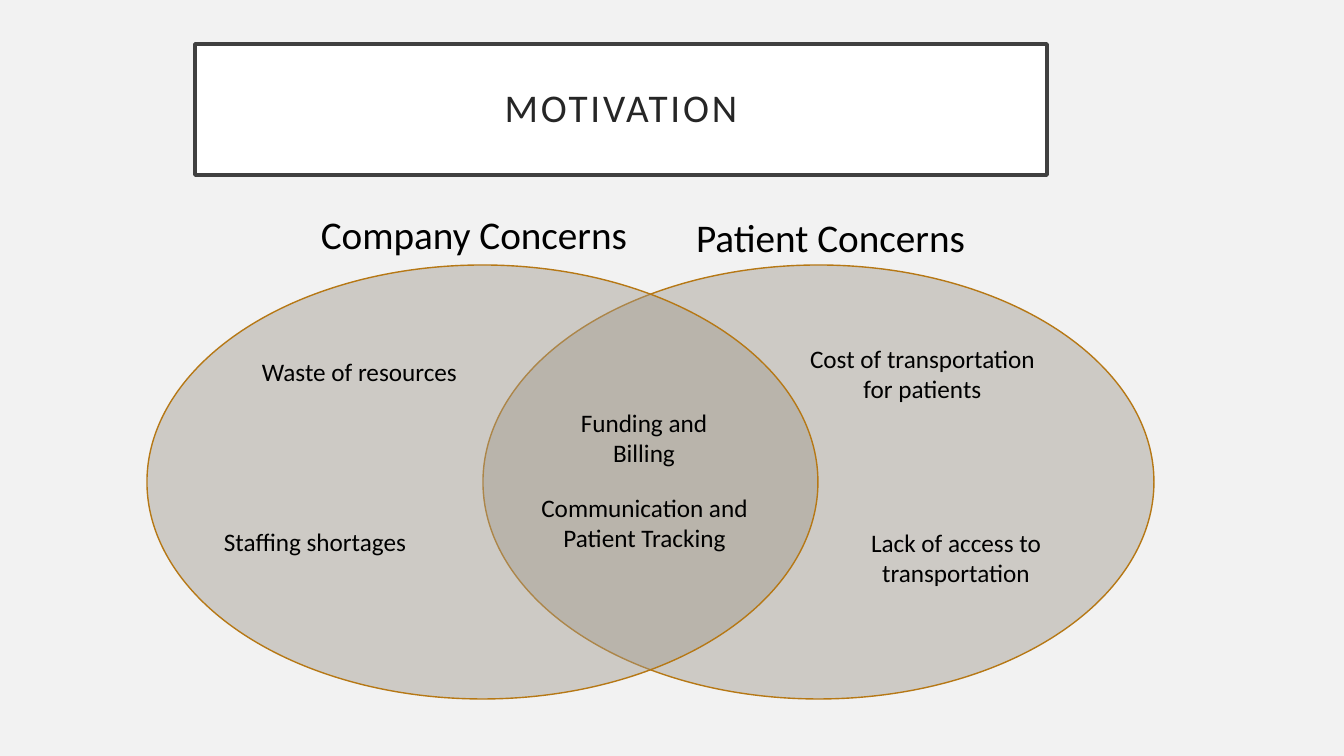
import pptx
import pptx.dml.color
import pptx.enum.shapes
import pptx.enum.text
import pptx.oxml.ns
import pptx.util
from dataclasses import dataclass
from lxml import etree

TITLE = "MOTIVATION"
TITLE_BOX = (195, 44, 852, 131)
OVALS = [(483, 265, 671, 434), (147, 265, 671, 434)]
CENTER = pptx.enum.text.PP_ALIGN.CENTER
LEFT = pptx.enum.text.PP_ALIGN.LEFT
CONCERNS = [
    ("Funding and Billing", (544, 402, 200, 72), CENTER),
    ("Communication and Patient Tracking", (514, 487, 261, 72), CENTER),
    ("Waste of resources", (252, 351, 227, 72), LEFT),
    ("Staffing shortages", (214, 521, 261, 72), LEFT),
    ("Cost of transportation for patients", (788, 338, 269, 72), CENTER),
    ("Lack of access to transportation", (827, 522, 258, 72), CENTER),
]
HEADINGS = [
    ("Company Concerns", (303, 205, 342, 57), CENTER),
    ("Patient Concerns", (681, 208, 299, 57), CENTER),
]


@dataclass
class Theme:
    font: str = "Calibri"
    background: str = "F2F2F2"
    title_fill: str = "FFFFFF"
    title_line: str = "404040"
    title_text: str = "262626"
    oval_fill: str = "A0988C"
    oval_line: str = "B67815"
    oval_alpha: int = 44
    text: str = "000000"
    heading_size: int = 28
    body_size: int = 18


THEME = Theme()
PX = 914400 / 100.8


def emu(*lengths):
    return [pptx.util.Emu(round(length * PX)) for length in lengths]


def paint(fill, color):
    fill.solid()
    fill.fore_color.rgb = pptx.dml.color.RGBColor.from_string(color)


def outline(shape, color, points):
    paint(shape.line.fill, color)
    shape.line.width = pptx.util.Pt(points)


def write(frame, text, align, size, color):
    frame.word_wrap = True
    paragraph = frame.paragraphs[0]
    run = paragraph.add_run()
    run.text = text
    paragraph.alignment = align
    paragraph.font.name = THEME.font
    paragraph.font.size = pptx.util.Pt(size)
    paragraph.font.color.rgb = pptx.dml.color.RGBColor.from_string(color)
    return paragraph


def add_title(slide):
    title = slide.shapes.title
    title.left, title.top, title.width, title.height = emu(*TITLE_BOX)
    paint(title.fill, THEME.title_fill)
    outline(title, THEME.title_line, 2.5)
    frame = title.text_frame
    frame.auto_size = pptx.enum.text.MSO_AUTO_SIZE.NONE
    frame.vertical_anchor = pptx.enum.text.MSO_ANCHOR.MIDDLE
    inset, = emu(20)
    frame.margin_left = frame.margin_right = inset
    frame.margin_top = frame.margin_bottom = inset
    paragraph = write(frame, TITLE, CENTER, THEME.heading_size, THEME.title_text)
    paragraph.line_spacing = 0.9
    paragraph.runs[0]._r.get_or_add_rPr().set("spc", "200")


def add_oval(slide, box):
    oval = slide.shapes.add_shape(pptx.enum.shapes.MSO_SHAPE.OVAL, *emu(*box))
    oval.shadow.inherit = False
    paint(oval.fill, THEME.oval_fill)
    outline(oval, THEME.oval_line, 1)
    color = oval._element.spPr.find(pptx.oxml.ns.qn("a:solidFill"))[0]
    alpha = etree.SubElement(color, pptx.oxml.ns.qn("a:alpha"))
    alpha.set("val", str(THEME.oval_alpha * 1000))


def add_label(slide, text, box, align, size):
    label = slide.shapes.add_textbox(*emu(*box))
    write(label.text_frame, text, align, size, THEME.text)


def main():
    presentation = pptx.Presentation()
    presentation.slide_width, presentation.slide_height = emu(1344, 756)
    slide = presentation.slides.add_slide(presentation.slide_layouts[5])
    paint(slide.background.fill, THEME.background)
    add_title(slide)
    for box in OVALS:
        add_oval(slide, box)
    for labels, size in ((CONCERNS, THEME.body_size), (HEADINGS, THEME.heading_size)):
        for text, box, align in labels:
            add_label(slide, text, box, align, size)
    presentation.save("out.pptx")


if __name__ == "__main__":
    main()
